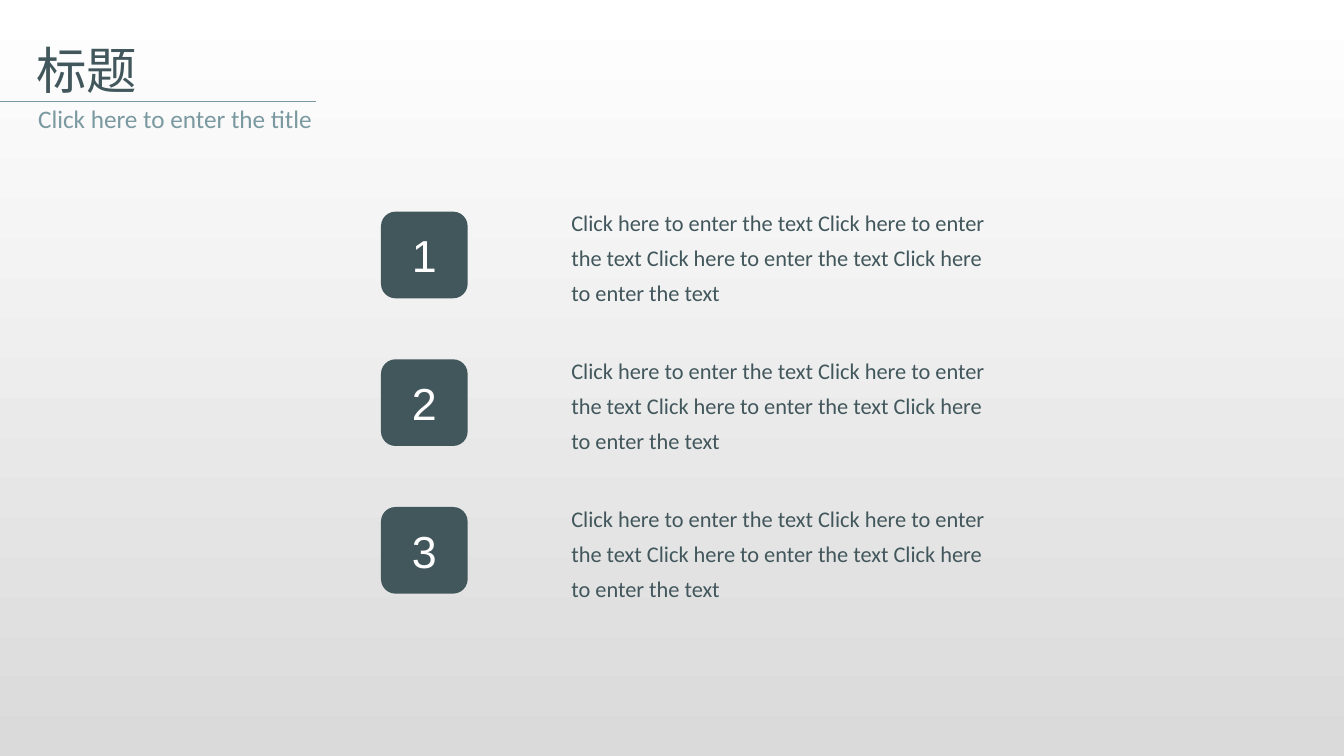
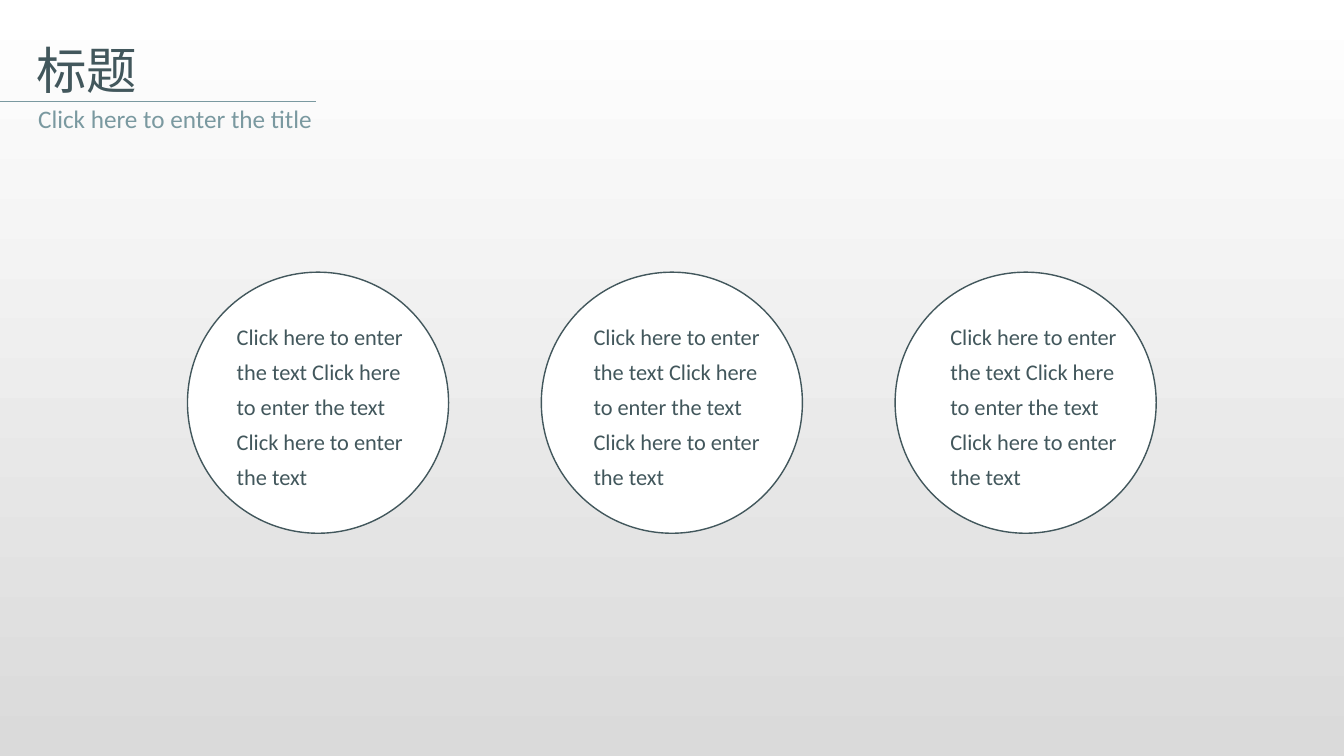
from dataclasses import dataclass
from typing import Optional

from lxml import etree
from pptx import Presentation
from pptx.dml.color import RGBColor
from pptx.enum.shapes import MSO_CONNECTOR, MSO_SHAPE
from pptx.enum.text import MSO_ANCHOR, MSO_AUTO_SIZE, PP_ALIGN
from pptx.oxml.ns import qn
from pptx.util import Inches, Pt

LINE = MSO_CONNECTOR.STRAIGHT
ROUNDED, OVAL = MSO_SHAPE.ROUNDED_RECTANGLE, MSO_SHAPE.OVAL
LEFT, CENTER = PP_ALIGN.LEFT, PP_ALIGN.CENTER
MIDDLE = MSO_ANCHOR.MIDDLE
GROW = MSO_AUTO_SIZE.SHAPE_TO_FIT_TEXT

# Grid of tenth-inch cells
COLS, ROWS = 133.33, 75

DARK, MUTED, WHITE, GREY = "42575C", "7A99A0", "FFFFFF", "DADADA"
PROMPT = "Click here to enter the text"


@dataclass(frozen=True)
class Box:
    """A place on the grid, in columns and rows."""
    col: float
    row: float
    cols: float
    rows: float

    def step(self, cols: float = 0, rows: float = 0) -> "Box":
        return Box(self.col + cols, self.row + rows, self.cols, self.rows)

    def place(self) -> list:
        return [cells(n) for n in (self.col, self.row, self.cols, self.rows)]


@dataclass(frozen=True)
class Style:
    size: float
    font: str
    color: str
    spacing: float = 1.0
    align: PP_ALIGN = LEFT


TITLE = Style(36, "Noto Sans CJK SC", DARK)
SUBTITLE = Style(18, "Calibri", MUTED)
BODY = Style(16, "Calibri", DARK, spacing=1.3)
NUMBER = Style(32, "Arial", WHITE, align=CENTER)


def cells(n: float) -> int:
    return Inches(n / 10)


def rgb(color: str) -> RGBColor:
    return RGBColor.from_string(color)


def write(tf, text: str, style: Style) -> None:
    p = tf.paragraphs[0]
    p.alignment, p.line_spacing = style.align, style.spacing
    r = p.add_run()
    r.text = text
    for name, value in {"size": Pt(style.size), "name": style.font}.items():
        setattr(r.font, name, value)
    r.font.color.rgb = rgb(style.color)
    # East Asian letters take the same font
    etree.SubElement(r.font._element, qn("a:ea"), typeface=style.font)


def add_text(s, box: Box, text: str, style: Style) -> None:
    tf = s.shapes.add_textbox(*box.place()).text_frame
    for name, value in {"word_wrap": True, "auto_size": GROW}.items():
        setattr(tf, name, value)
    write(tf, text, style)


def add_shape(s, kind: MSO_SHAPE, box: Box, fill: str, line: Optional[str] = None):
    sp = s.shapes.add_shape(kind, *box.place())
    sp.shadow.inherit = False
    sp.fill.solid()
    sp.fill.fore_color.rgb = rgb(fill)
    if line:
        sp.line.color.rgb = rgb(line)
        sp.line.width = Pt(1)
    else:
        sp.line.fill.background()
    return sp


def add_slide(prs):
    """Start a slide with the shared background and heading."""
    s = prs.slides.add_slide(prs.slide_layouts[6])
    fill = s.background.fill
    fill.gradient()
    fill.gradient_angle = 270
    for stop, color in zip(fill.gradient_stops, (WHITE, GREY)):
        stop.color.rgb = rgb(color)

    add_text(s, Box(2.8, 9.8, 30, 4), "Click here to enter the title", SUBTITLE)
    add_text(s, Box(2.6, 3.4, 13.9, 7.1), "标题", TITLE)
    rule = s.shapes.add_connector(LINE, 0, cells(10.1), cells(31.4), cells(10.1))
    rule.line.color.rgb = rgb(MUTED)
    rule.line.width = Pt(0.5)
    etree.SubElement(rule._element.spPr, qn("a:effectLst"))
    return s


def numbered_list(prs) -> None:
    s = add_slide(prs)
    badge, body = Box(37.8, 21, 8.6, 8.6), Box(55.7, 19.5, 44, 11.5)
    pitch = 14.65
    for i in range(3):
        sp = add_shape(s, ROUNDED, badge.step(rows=i * pitch), DARK)
        sp.text_frame.vertical_anchor = MIDDLE
        write(sp.text_frame, str(i + 1), NUMBER)
        add_text(s, body.step(rows=i * pitch), " ".join([PROMPT] * 4), BODY)


def circle_row(prs) -> None:
    s = add_slide(prs)
    circle, body = Box(18.6, 27, 25.9, 25.9), Box(22.5, 30.8, 19, 18.5)
    circle_pitch, body_pitch = 35.1, 35.4
    for i in range(3):
        add_shape(s, OVAL, circle.step(cols=i * circle_pitch), WHITE, DARK)
        add_text(s, body.step(cols=i * body_pitch), " ".join([PROMPT] * 3), BODY)


def main() -> None:
    prs = Presentation()
    prs.slide_width, prs.slide_height = cells(COLS), cells(ROWS)
    numbered_list(prs)
    circle_row(prs)
    prs.save("out.pptx")


if __name__ == "__main__":
    main()
